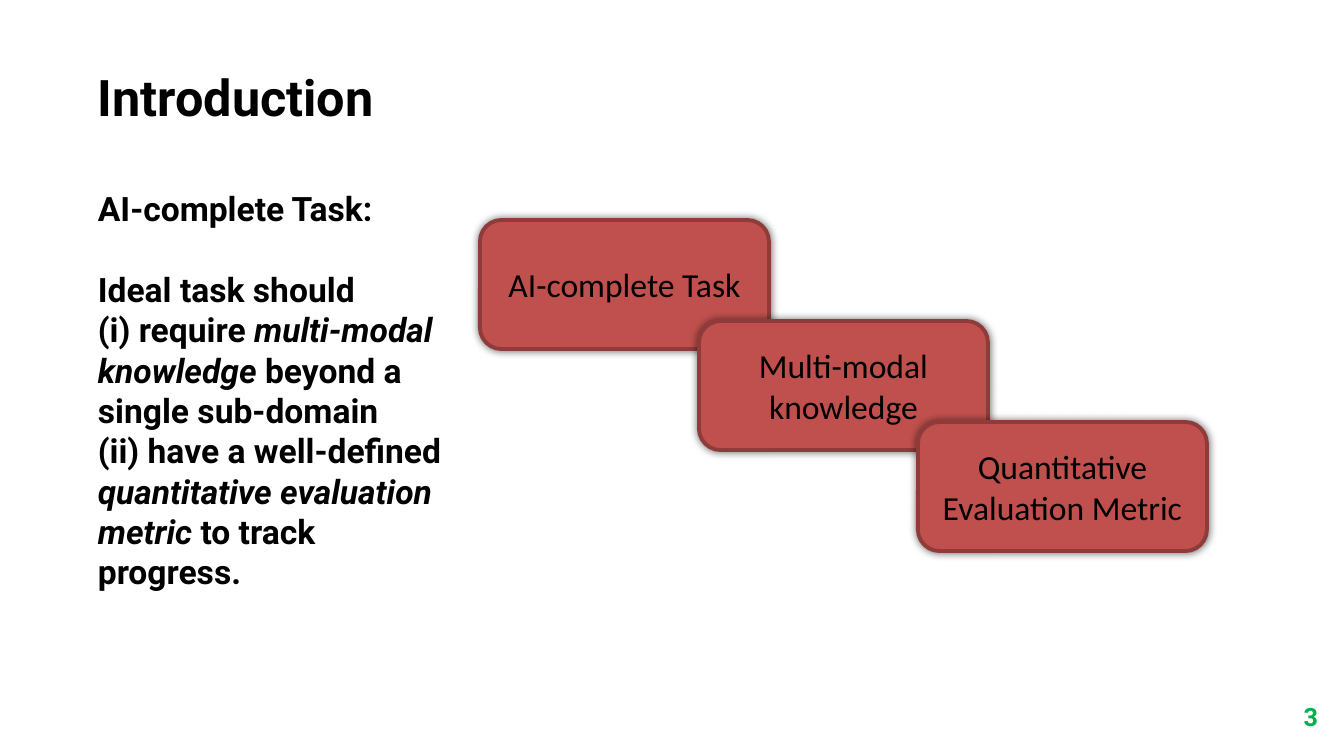
import pptx
import pptx.util
import pptx.dml.color
import pptx.enum.shapes
import pptx.enum.text
import pptx.oxml
import pptx.oxml.ns
from lxml import etree

TITLE = "Introduction"
BODY = [
    [("AI-complete Task:", False)],
    [("Ideal task should", False)],
    [("(i) require ", False), ("multi-modal knowledge ", True), ("beyond a single sub-domain", False)],
    [("(ii) have a well-defined ", False), ("quantitative evaluation metric ", True), ("to track progress.", False)],
]
STEPS = ["AI-complete Task", "Multi-modal knowledge", "Quantitative Evaluation Metric"]
PAGE_NUMBER = "3"

THEME = {
    "text": "000000", "card": "C0504D", "edge": "8E3B39", "number": "00B050",
    "title_size": 36, "body_size": 24, "number_size": 18, "gap": 29, "edge_width": 2.75,
    "head_font": "Roboto", "card_font": "Calibri",
}
SLIDE_SIZE = (1344, 756)
TITLE_AREA = (88, 61, 784, 72)
BODY_AREA = (88, 183, 374, 458)
NUMBER_AREA = (1276, 701, 42, 30)
CARD_START = (480, 220)
CARD_SIZE = (289, 129)
CARD_SHIFT = (219, 101)

ALIGN = pptx.enum.text.PP_ALIGN
ANCHOR = pptx.enum.text.MSO_ANCHOR


def px(length):
    return pptx.util.Emu(round(length * 914400 / 100.8))


def color(name):
    return pptx.dml.color.RGBColor.from_string(THEME[name])


def write(box, paragraphs, size, font="head_font", ink="text", bold=True,
          align=ALIGN.LEFT, anchor=ANCHOR.TOP, inset=None, gaps=()):
    frame = box.text_frame
    frame.word_wrap = True
    frame.vertical_anchor = anchor
    if inset is not None:
        frame.margin_left = frame.margin_right = frame.margin_top = frame.margin_bottom = inset
    for index, spans in enumerate(paragraphs):
        para = frame.add_paragraph() if index else frame.paragraphs[0]
        para.alignment = align
        if index in gaps:
            para.space_before = pptx.util.Pt(THEME["gap"])
        for text, italic in spans:
            span = para.add_run()
            span.text = text
            span.font.name = THEME[font]
            span.font.size = pptx.util.Pt(THEME[size])
            span.font.bold = bold
            span.font.italic = italic
            span.font.color.rgb = color(ink)


def add_glow_shadow(shape):
    shape.shadow.inherit = False
    effects = shape.element.spPr.find(pptx.oxml.ns.qn("a:effectLst"))
    shadow = etree.SubElement(effects, pptx.oxml.ns.qn("a:outerShdw"),
                              blurRad="76200", dist="0", dir="13500000")
    black = etree.SubElement(shadow, pptx.oxml.ns.qn("a:srgbClr"), val=THEME["text"])
    etree.SubElement(black, pptx.oxml.ns.qn("a:alpha"), val="55000")


def add_card(page, index, label):
    left, top = (start + index * shift for start, shift in zip(CARD_START, CARD_SHIFT))
    card = page.shapes.add_shape(pptx.enum.shapes.MSO_SHAPE.ROUNDED_RECTANGLE,
                                 *map(px, (left, top, *CARD_SIZE)))
    card.fill.solid()
    card.fill.fore_color.rgb = color("card")
    card.line.color.rgb = color("edge")
    card.line.width = pptx.util.Pt(THEME["edge_width"])
    add_glow_shadow(card)
    write(card, [[(label, False)]], "body_size", font="card_font", bold=False,
          align=ALIGN.CENTER, anchor=ANCHOR.MIDDLE)


def main():
    deck = pptx.Presentation()
    deck.slide_width, deck.slide_height = map(px, SLIDE_SIZE)
    page = deck.slides.add_slide(deck.slide_layouts[6])
    title = page.shapes.add_textbox(*map(px, TITLE_AREA))
    write(title, [[(TITLE, False)]], "title_size")
    for index, label in enumerate(STEPS):
        add_card(page, index, label)
    body = page.shapes.add_textbox(*map(px, BODY_AREA))
    write(body, BODY, "body_size", gaps=(1,))
    number = page.shapes.add_textbox(*map(px, NUMBER_AREA))
    write(number, [[(PAGE_NUMBER, False)]], "number_size", ink="number",
          align=ALIGN.RIGHT, anchor=ANCHOR.MIDDLE, inset=0)
    deck.save("out.pptx")


if __name__ == "__main__":
    main()
